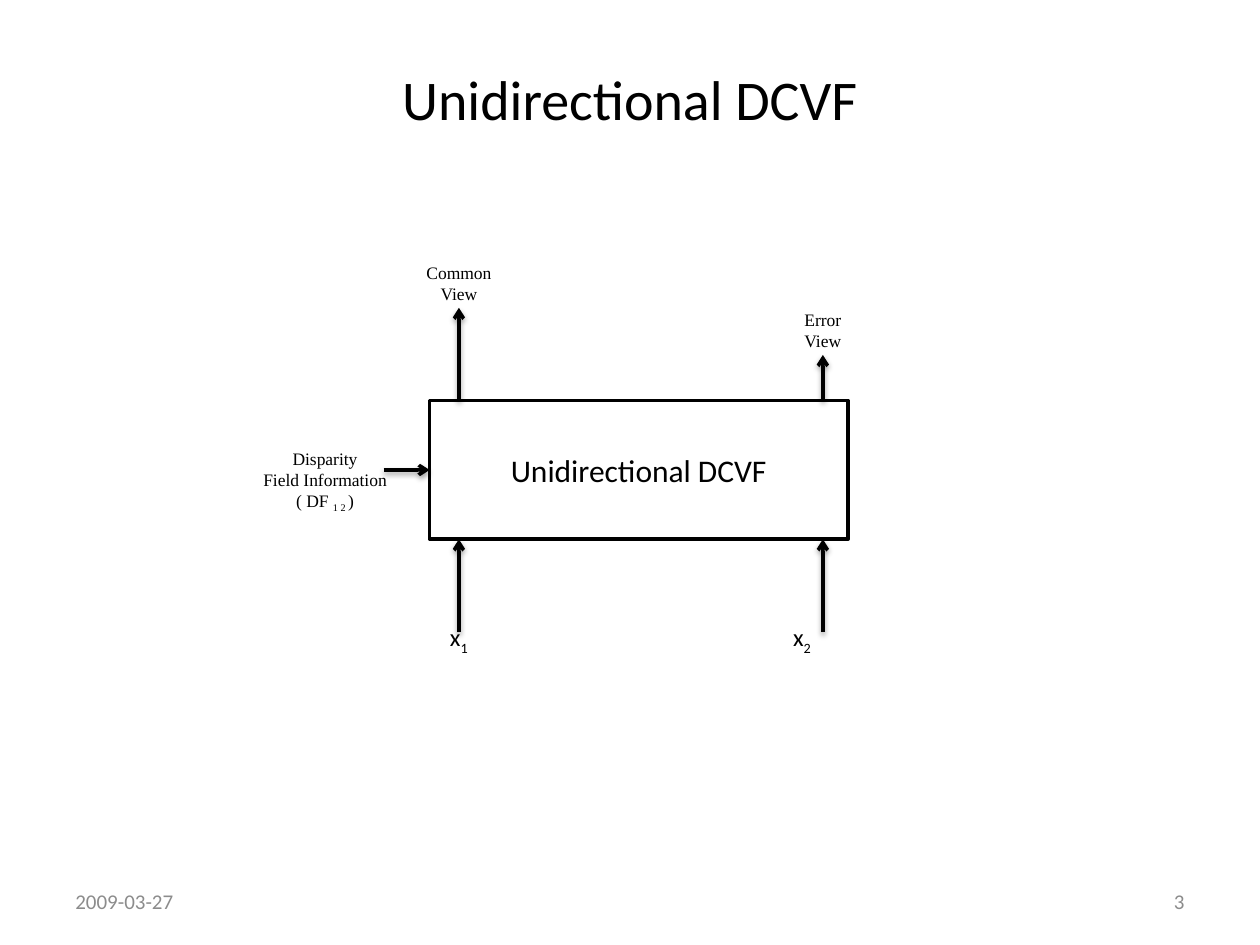
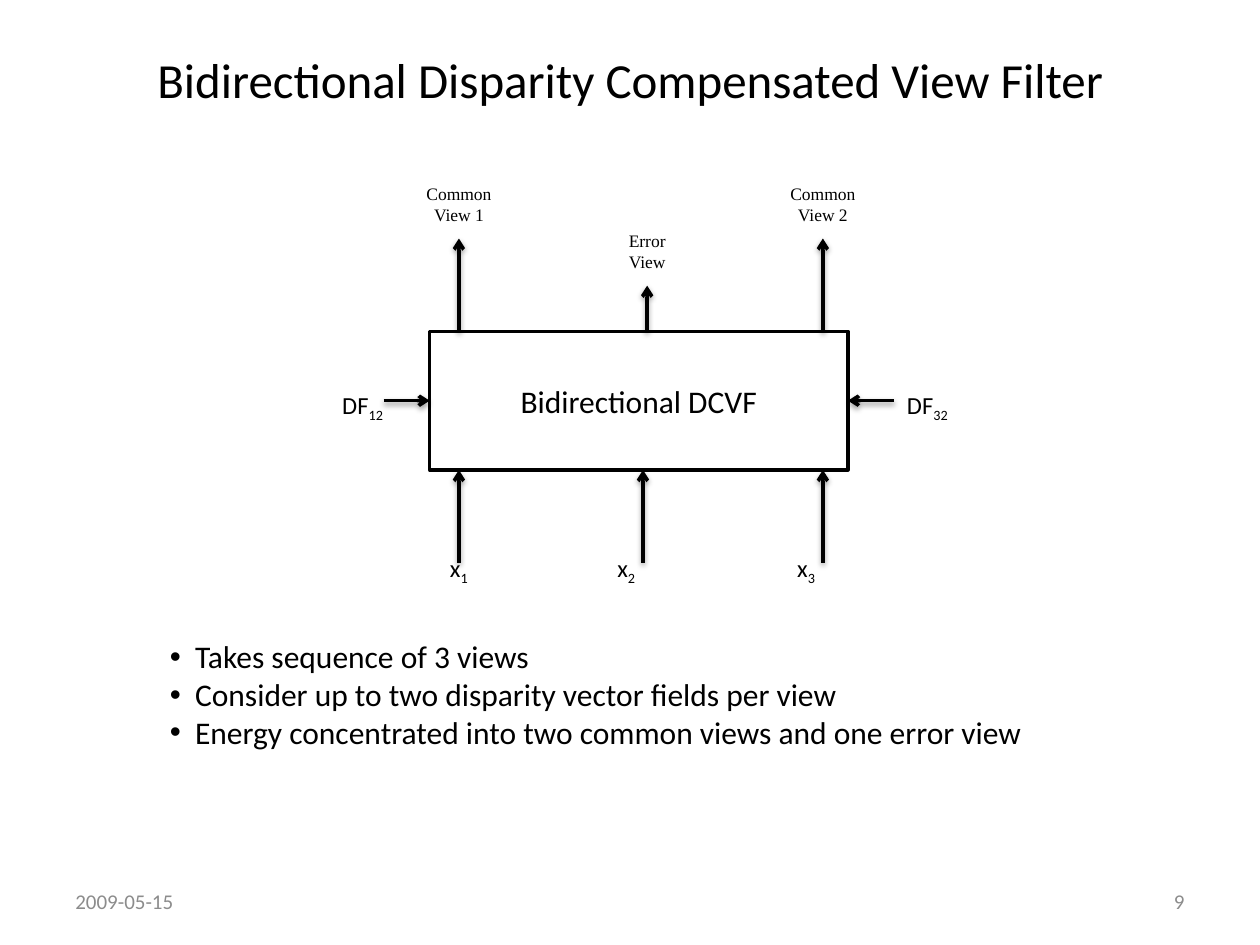
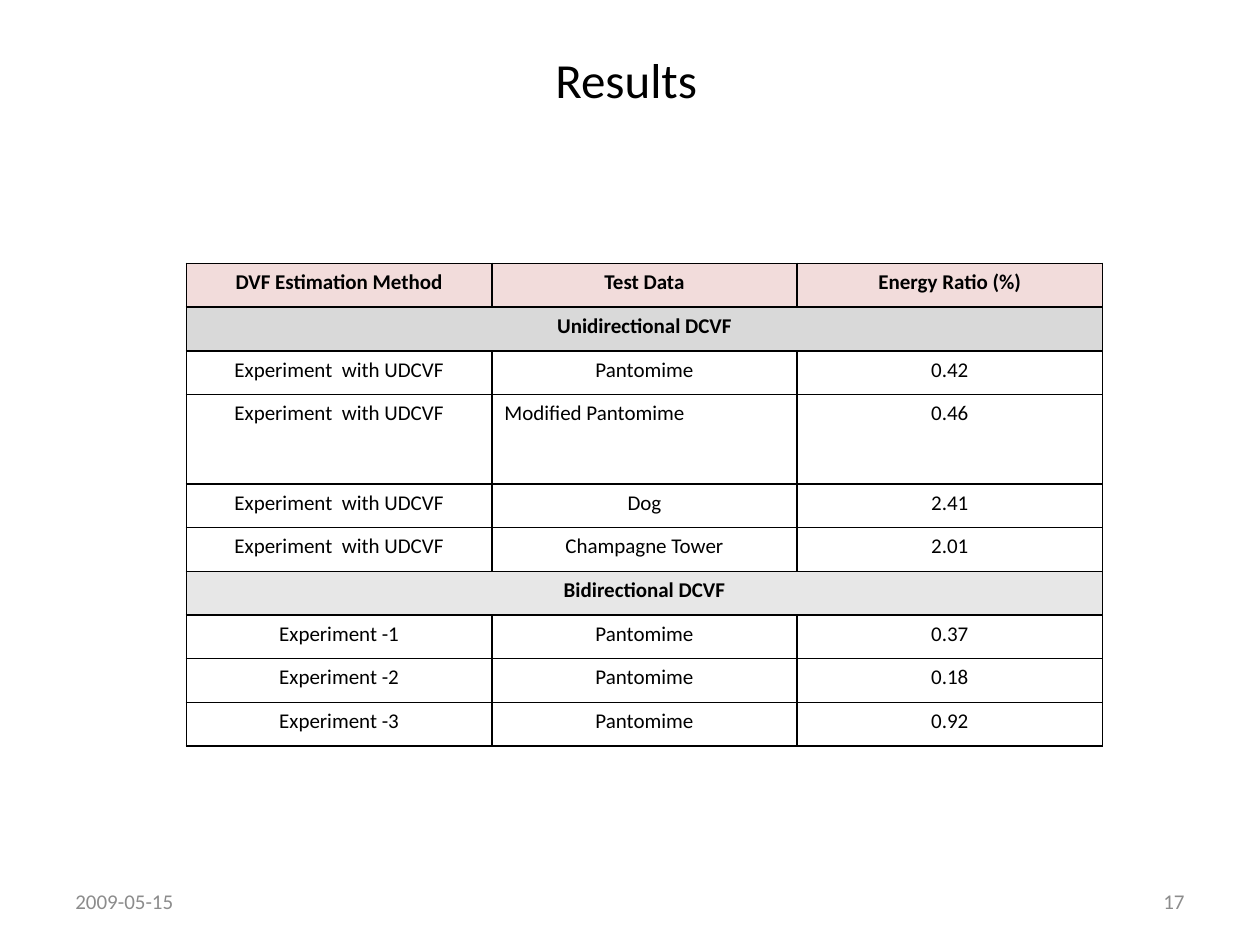
from pptx import Presentation
from pptx import util as u
from pptx.dml.color import RGBColor
from pptx.enum import shapes, text
from pptx.oxml import parse_xml
from pptx.oxml.ns import nsdecls, qn

W, H = 10, 7.5
BLACK, WHITE, GREY = "000000", "FFFFFF", "8C8C8C"
PINK, DARK, LIGHT = "F2DCDB", "D9D9D9", "E7E7E7"
SANS, SERIF = "Calibri", "Times New Roman"
LEFT, MID, RIGHT = text.PP_ALIGN.LEFT, text.PP_ALIGN.CENTER, text.PP_ALIGN.RIGHT
TOP, CENTER = text.MSO_ANCHOR.TOP, text.MSO_ANCHOR.MIDDLE


def rgb(code):
    """Turn a hex string into a colour."""
    return RGBColor.from_string(code)


def xml(tag, attrs="", inner=""):
    """Build one drawing element."""
    return parse_xml(f"<a:{tag} {nsdecls('a')} {attrs}>{inner}</a:{tag}>")


def solid(code):
    """Give the markup of a solid fill."""
    return f'<a:solidFill><a:srgbClr val="{code}"/></a:solidFill>'


def inches(*sizes):
    """Turn numbers into lengths."""
    return [u.Inches(size) for size in sizes]


def write(frame, words, size=18, font=SANS, color=BLACK, bold=False,
          align=MID, anchor=CENTER, bullet=False):
    """Fill a frame line by line; underscores switch subscript on and off."""
    frame.word_wrap = True
    frame.auto_size = text.MSO_AUTO_SIZE.NONE
    frame.vertical_anchor = anchor
    for row, line in enumerate(words.split("\n")):
        para = frame.add_paragraph() if row else frame.paragraphs[0]
        para.alignment = align
        if bullet:
            props = para._p.get_or_add_pPr()
            props.set("marL", str(u.Inches(0.2)))
            props.set("indent", str(-u.Inches(0.2)))
            props.append(xml("buFont", 'typeface="Arial"'))
            props.append(xml("buChar", 'char="•"'))
        for part, piece in enumerate(line.split("_")):
            run = para.add_run()
            run.text = piece
            run.font.size, run.font.name = u.Pt(size), font
            run.font.bold, run.font.color.rgb = bold, rgb(color)
            if part % 2:
                run._r.get_or_add_rPr().set("baseline", "-25000")


def note(slide, box, words, **style):
    """Add a text box."""
    item = slide.shapes.add_textbox(*inches(*box))
    write(item.text_frame, words, **style)
    return item


def label(slide, x, y, words, wide=1, size=10, font=SERIF):
    """Add a tight text box around a centre point."""
    tall = size / 60 * (words.count("\n") + 1)
    item = note(slide, (x - wide / 2, y - tall / 2, wide, tall), words, size=size, font=font)
    frame = item.text_frame
    frame.margin_left = frame.margin_right = frame.margin_top = frame.margin_bottom = 0


def arrow(slide, x1, y1, x2, y2):
    """Draw a black arrow with a soft shadow."""
    line = slide.shapes.add_connector(shapes.MSO_CONNECTOR.STRAIGHT, *inches(x1, y1, x2, y2))
    line.line.color.rgb, line.line.width = rgb(BLACK), u.Pt(2)
    props = line.element.spPr
    props.find(qn("a:ln")).append(xml("tailEnd", 'type="arrow"'))
    shade = f'<a:srgbClr val="{BLACK}"><a:alpha val="38000"/></a:srgbClr>'
    props.append(xml("effectLst", inner='<a:outerShdw blurRad="40000" dist="20000" dir="5400000"'
                                        f' rotWithShape="0">{shade}</a:outerShdw>'))
    return line


def page(deck, title, date, number, size=28, left=0.05, top=0):
    """Start a slide with its title and footer."""
    slide = deck.slides.add_slide(deck.slide_layouts[5])
    head = slide.shapes.title
    head.left, head.top, head.width, head.height = inches(left * W, top * H, 0.9 * W, H / 6)
    write(head.text_frame, title, size=size)
    for x, words, align in ((0.5, date, LEFT), (7.17, number, RIGHT)):
        note(slide, (x, 6.95, 2.33, 0.4), words, size=12, color=GREY, align=align)
    return slide


def filter_box(slide, box, name, outs, ins, sides, gap):
    """Draw a filter with its outputs on top, inputs below and fields at the sides."""
    x, y, w, h = box
    rect = slide.shapes.add_shape(shapes.MSO_SHAPE.RECTANGLE, *inches(*box))
    rect.shadow.inherit = False
    rect.fill.solid()
    rect.fill.fore_color.rgb = rgb(WHITE)
    rect.line.color.rgb, rect.line.width = rgb(BLACK), u.Pt(2)
    write(rect.text_frame, name)
    for col, rise, words in outs:
        arrow(slide, x + col * w, y, x + col * w, y - rise * h)
        label(slide, x + col * w, y - (rise + gap) * h, words)
    for col, spot, words in ins:
        arrow(slide, x + col * w, y + 1.67 * h, x + col * w, y + h)
        label(slide, x + spot * w, y + 1.72 * h, words, wide=0.4, size=14, font=SANS)
    for site, col, row, words, style in sides:
        edge, out = (x, -0.11 * w) if site == 1 else (x + w, 0.11 * w)
        arrow(slide, edge + out, y + h / 2, edge, y + h / 2).end_connect(rect, site)
        label(slide, x + col * w, y + row * h, words, **style)


def grid(slide, box, rows, tall):
    """Draw the results; a row of one entry spans all columns."""
    cols = len(rows[0][1])
    table = slide.shapes.add_table(len(rows), cols, *inches(*box)).table
    table.first_row = table.horz_banding = False
    for r, (fill, words) in enumerate(rows):
        table.rows[r].height = u.Inches(tall.get(r, box[3] / len(rows)))
        for c in range(cols):
            cell = table.cell(r, c)
            props = cell._tc.get_or_add_tcPr()
            for side in "LRTB":
                props.append(xml("ln" + side, 'w="12700"', solid(BLACK)))
            cell.fill.solid()
            cell.fill.fore_color.rgb = rgb(fill)
            if c < len(words):
                align = LEFT if words[c].startswith("Modified") else MID
                write(cell.text_frame, words[c], size=12, bold=fill != WHITE, align=align)
            cell.vertical_anchor = TOP
        if len(words) == 1:
            table.cell(r, 0).merge(table.cell(r, cols - 1))


def one_way(deck):
    """Build the slide of the unidirectional filter."""
    name = "Unidirectional DCVF"
    slide = page(deck, name, "2009-03-27", "3", size=32, top=0.02)
    filter_box(slide, (3.41, 3.18, 3.32, 1.1), name,
               outs=[(0.07, 0.67, "Common\nView"), (0.94, 0.33, "Error\nView")],
               ins=[(0.07, 0.07, "x_1"), (0.94, 0.89, "x_2")],
               sides=[(1, -0.25, 0.58, "Disparity\nField Information\n( DF _1 2 _)", {"wide": 1.5})],
               gap=0.18)


def two_way(deck):
    """Build the slide of the bidirectional filter."""
    slide = page(deck, "Bidirectional Disparity Compensated View Filter", "2009-05-15", "9")
    style = {"size": 14, "font": SANS, "wide": 0.6}
    filter_box(slide, (3.41, 2.63, 3.32, 1.1), "Bidirectional DCVF",
               outs=[(0.07, 0.67, "Common\nView 1"), (0.52, 0.33, "Error\nView"),
                     (0.94, 0.67, "Common\nView 2")],
               ins=[(0.07, 0.07, "x_1"), (0.51, 0.47, "x_2"), (0.94, 0.9, "x_3")],
               sides=[(1, -0.16, 0.54, "DF_12", style), (3, 1.19, 0.54, "DF_32", style)],
               gap=0.25)
    note(slide, (1.25, 5.01, 7.78, 1.01),
         "Takes sequence of 3 views\n"
         "Consider up to two disparity vector fields per view\n"
         "Energy concentrated into two common views and one error view",
         align=LEFT, anchor=TOP, bullet=True)


def results(deck):
    """Build the slide of the results table."""
    slide = page(deck, "Results", "2009-05-15", "17", left=0.047)
    uni = [("Pantomime", "0.42"), ("Modified Pantomime", "0.46"),
           ("Dog", "2.41"), ("Champagne Tower", "2.01")]
    rows = [(PINK, ("DVF Estimation Method", "Test Data", "Energy Ratio (%)")),
            (DARK, ("Unidirectional DCVF",))]
    rows += [(WHITE, ("Experiment  with UDCVF", *pair)) for pair in uni]
    rows += [(LIGHT, ("Bidirectional DCVF",))]
    rows += [(WHITE, (f"Experiment -{n}", "Pantomime", ratio))
             for n, ratio in enumerate(("0.37", "0.18", "0.92"), 1)]
    grid(slide, (1.48, 2.09, 7.27, 3.47), rows, {3: 0.71})


def main():
    """Build and save the deck."""
    deck = Presentation()
    deck.slide_width, deck.slide_height = inches(W, H)
    one_way(deck)
    two_way(deck)
    results(deck)
    deck.save("out.pptx")


if __name__ == "__main__":
    main()
